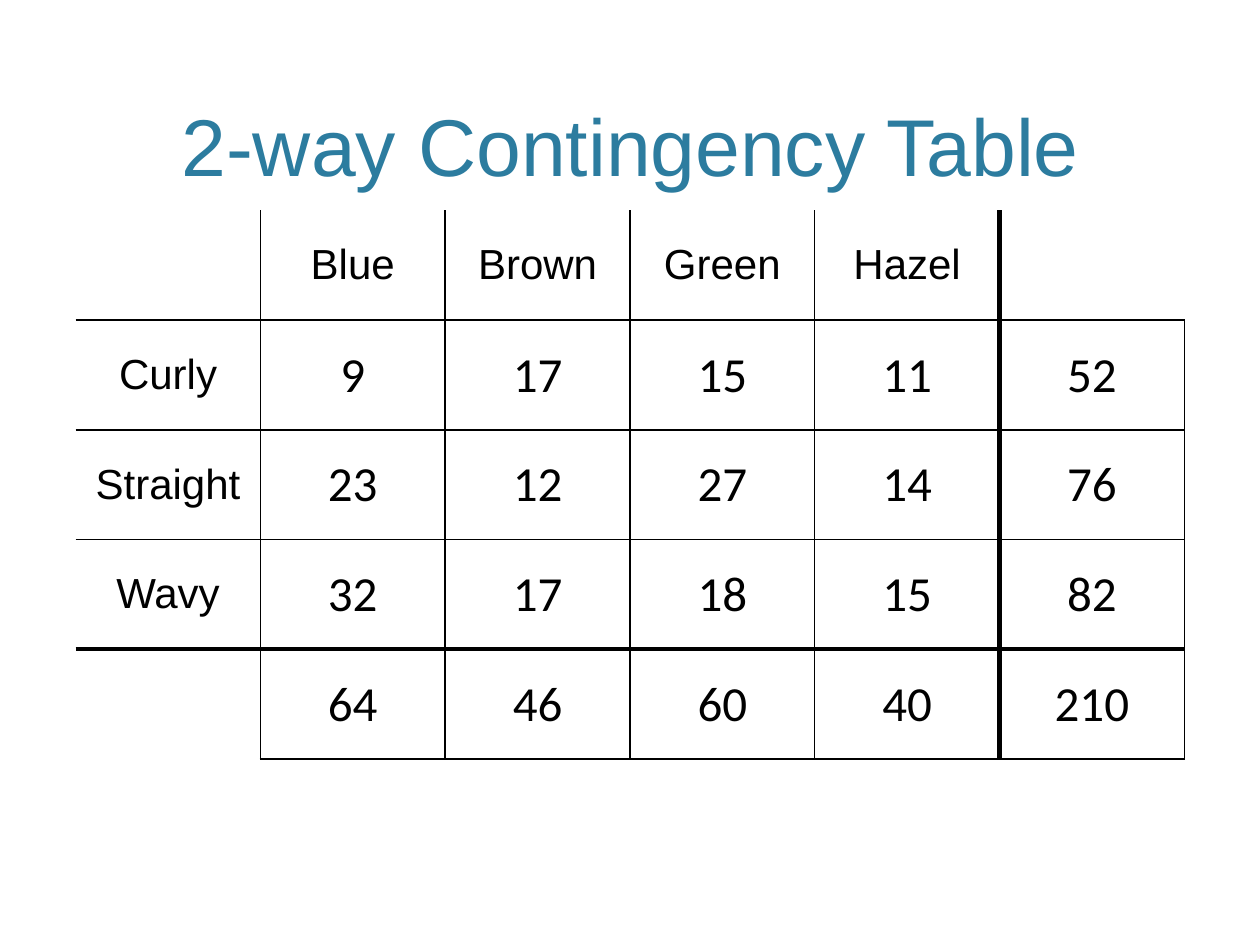
from dataclasses import dataclass

from lxml import etree
from pptx import Presentation
from pptx.dml.color import RGBColor
from pptx.enum import text as t
from pptx.oxml.ns import qn
from pptx.util import Pt

BLACK, TEAL = "000000", "2C7C9F"
LEFT, WIDTH = 43.2, 633.6
TOP, HEIGHT = 120.24, 313.5
THIN, THICK = 1, 3


@dataclass
class Row:
    name: str
    counts: list[int]


EYES = ["Blue", "Brown", "Green", "Hazel"]
HAIR = [
    Row("Curly", [9, 17, 15, 11]),
    Row("Straight", [23, 12, 27, 14]),
    Row("Wavy", [32, 17, 18, 15]),
]


def color(code: str) -> RGBColor:
    return RGBColor.from_string(code)


def write(frame, words: str, *, size: float, font: str = "Arial", ink: str = BLACK) -> None:
    par = frame.paragraphs[0]
    par.alignment = t.PP_ALIGN.CENTER
    run = par.add_run()
    run.text = words
    run.font.size = Pt(size)
    run.font.name = font
    run.font.color.rgb = color(ink)


def weight(edge: int, last: int, cross: int) -> int:
    """Width of a grid line: open at the start and beside headers, thick before totals."""
    if edge == 0 or (edge == last and cross == 0):
        return 0
    return THICK if edge == last - 1 else THIN


def border(cell, side: str, width: int) -> None:
    line = etree.SubElement(cell._tc.get_or_add_tcPr(), qn(f"a:ln{side}"), w=str(Pt(width)))
    if not width:
        etree.SubElement(line, qn("a:noFill"))
        return
    fill = etree.SubElement(line, qn("a:solidFill"))
    etree.SubElement(fill, qn("a:srgbClr"), val=BLACK)


def add_title(slide, words: str) -> None:
    title = slide.shapes.title
    title.left, title.top = Pt(LEFT), Pt(8.64)
    title.width, title.height = Pt(WIDTH), Pt(105.12)
    title.text_frame.vertical_anchor = t.MSO_ANCHOR.BOTTOM
    write(title.text_frame, words, size=46, ink=TEAL)


def add_grid(slide, grid: list[list]) -> None:
    rows, cols = len(grid), len(grid[0])
    table = slide.shapes.add_table(
        rows, cols, Pt(LEFT), Pt(TOP), Pt(WIDTH), Pt(HEIGHT)
    ).table
    table.first_row = table.horz_banding = False
    for r, values in enumerate(grid):
        for c, value in enumerate(values):
            cell = table.cell(r, c)
            cell.vertical_anchor = t.MSO_ANCHOR.MIDDLE
            for side, width in (
                ("L", weight(c, cols, r)),
                ("R", weight(c + 1, cols, r)),
                ("T", weight(r, rows, c)),
                ("B", weight(r + 1, rows, c)),
            ):
                border(cell, side, width)
            cell.fill.background()
            if isinstance(value, int):
                cell.margin_left = cell.margin_right = cell.margin_top = Pt(0.72)
                cell.margin_bottom = Pt(0)
                write(cell.text_frame, str(value), size=28, font="Calibri")
            elif value:
                write(cell.text_frame, value, size=24)


def main() -> None:
    deck = Presentation()
    deck.slide_width, deck.slide_height = Pt(720), Pt(540)
    slide = deck.slides.add_slide(deck.slide_layouts[5])
    add_title(slide, "2-way Contingency Table")
    sums = [sum(col) for col in zip(*(row.counts for row in HAIR))]
    body = [[row.name, *row.counts, sum(row.counts)] for row in HAIR]
    add_grid(slide, [["", *EYES, ""], *body, ["", *sums, sum(sums)]])
    deck.save("out.pptx")


if __name__ == "__main__":
    main()
